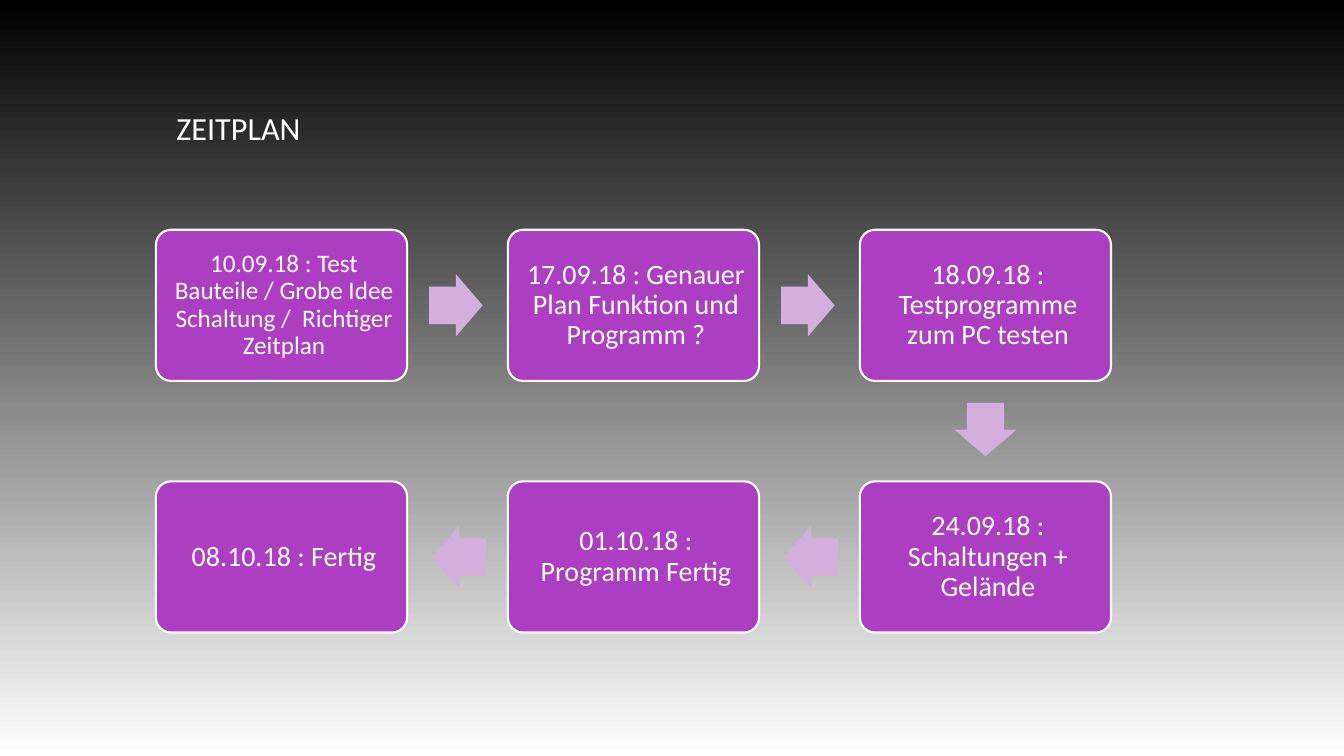
from dataclasses import dataclass

from pptx import Presentation
from pptx.dml.color import RGBColor
from pptx.enum.shapes import MSO_SHAPE
from pptx.enum.text import MSO_ANCHOR, MSO_AUTO_SIZE, PP_ALIGN
from pptx.shapes.shapetree import GroupShapes
from pptx.slide import Slide
from pptx.text.text import TextFrame
from pptx.util import Cm, Pt

ROUNDED_RECTANGLE = MSO_SHAPE.ROUNDED_RECTANGLE
RIGHT_ARROW = MSO_SHAPE.RIGHT_ARROW
MIDDLE = MSO_ANCHOR.MIDDLE
NO_AUTOFIT = MSO_AUTO_SIZE.NONE
LEFT = PP_ALIGN.LEFT
CENTER = PP_ALIGN.CENTER

BLACK = RGBColor(0x00, 0x00, 0x00)
WHITE = RGBColor(0xFF, 0xFF, 0xFF)
PURPLE = RGBColor(0xAC, 0x3E, 0xC1)
LILAC = RGBColor(0xD2, 0xAF, 0xDC)
FONT = "Calibri"

GRID_LEFT, GRID_TOP = 3.93, 5.79
COLUMN_PITCH, ROW_PITCH = 8.87, 6.34
BOX_WIDTH, BOX_HEIGHT = 6.33, 3.81
ARROW_WIDTH, ARROW_HEIGHT = 1.35, 1.57


@dataclass(frozen=True)
class Step:
    text: str
    column: int
    row: int
    size: int = 20


@dataclass(frozen=True)
class Arrow:
    center_x: float
    center_y: float
    rotation: int


STEPS = (
    Step("10.09.18 : Test Bauteile / Grobe Idee Schaltung /  Richtiger Zeitplan", 0, 0, 18),
    Step("17.09.18 : Genauer Plan Funktion und Programm ?", 1, 0),
    Step("18.09.18 : Testprogramme zum PC testen", 2, 0),
    Step("24.09.18 : Schaltungen + Gelände", 2, 1),
    Step("01.10.18 : Programm Fertig", 1, 1),
    Step("08.10.18 : Fertig", 0, 1),
)


def box_left(step: Step) -> float:
    return GRID_LEFT + step.column * COLUMN_PITCH


def box_top(step: Step) -> float:
    return GRID_TOP + step.row * ROW_PITCH


def arrow_between(start: Step, end: Step) -> Arrow:
    middle_x = box_left(start) + BOX_WIDTH / 2
    middle_y = box_top(start) + BOX_HEIGHT / 2
    if start.row != end.row:
        return Arrow(middle_x, middle_y + ROW_PITCH / 2 - 0.04, 90)
    direction = end.column - start.column
    center_x = middle_x + direction * (COLUMN_PITCH / 2 - 0.04)
    return Arrow(center_x, middle_y, 0 if direction > 0 else 180)


def write_text(text_frame: TextFrame, text: str, size: int, alignment: PP_ALIGN) -> None:
    text_frame.word_wrap = True
    text_frame.auto_size = NO_AUTOFIT
    text_frame.vertical_anchor = MIDDLE
    paragraph = text_frame.paragraphs[0]
    paragraph.alignment = alignment
    run = paragraph.add_run()
    run.text = text
    run.font.name = FONT
    run.font.size = Pt(size)
    run.font.color.rgb = WHITE


def add_step(shapes: GroupShapes, step: Step) -> None:
    shape = shapes.add_shape(
        ROUNDED_RECTANGLE, Cm(box_left(step)), Cm(box_top(step)), Cm(BOX_WIDTH), Cm(BOX_HEIGHT)
    )
    shape.adjustments[0] = 0.1
    shape.shadow.inherit = False
    shape.fill.solid()
    shape.fill.fore_color.rgb = PURPLE
    shape.line.color.rgb = WHITE
    shape.line.width = Pt(1.5)
    text_frame = shape.text_frame
    text_frame.margin_left = text_frame.margin_top = text_frame.margin_bottom = Cm(0.33)
    text_frame.margin_right = Cm(0.2)
    write_text(text_frame, step.text, step.size, CENTER)
    paragraph = text_frame.paragraphs[0]
    paragraph.line_spacing = 0.9
    paragraph.space_after = Pt(7)


def add_arrow(shapes: GroupShapes, arrow: Arrow) -> None:
    shape = shapes.add_shape(
        RIGHT_ARROW,
        Cm(arrow.center_x - ARROW_WIDTH / 2),
        Cm(arrow.center_y - ARROW_HEIGHT / 2),
        Cm(ARROW_WIDTH),
        Cm(ARROW_HEIGHT),
    )
    shape.adjustments[0] = 0.6
    shape.adjustments[1] = 0.5
    shape.rotation = arrow.rotation
    shape.shadow.inherit = False
    shape.fill.solid()
    shape.fill.fore_color.rgb = LILAC
    shape.line.fill.background()


def set_background(slide: Slide) -> None:
    fill = slide.background.fill
    fill.gradient()
    fill.gradient_angle = 270
    for stop, color in zip(fill.gradient_stops, (BLACK, WHITE)):
        stop.color.rgb = color


def set_title(slide: Slide) -> None:
    title = slide.shapes.title
    title.left, title.top = Cm(4.19), Cm(1.19)
    title.width, title.height = Cm(28.14), Cm(4.04)
    write_text(title.text_frame, "ZEITPLAN", 23, LEFT)


def main() -> None:
    presentation = Presentation()
    presentation.slide_width = Cm(33.87)
    presentation.slide_height = Cm(19.05)
    slide = presentation.slides.add_slide(presentation.slide_layouts[5])
    set_background(slide)
    set_title(slide)
    schedule = slide.shapes.add_group_shape()
    add_step(schedule.shapes, STEPS[0])
    for start, end in zip(STEPS, STEPS[1:]):
        add_arrow(schedule.shapes, arrow_between(start, end))
        add_step(schedule.shapes, end)
    presentation.save("out.pptx")


if __name__ == "__main__":
    main()
